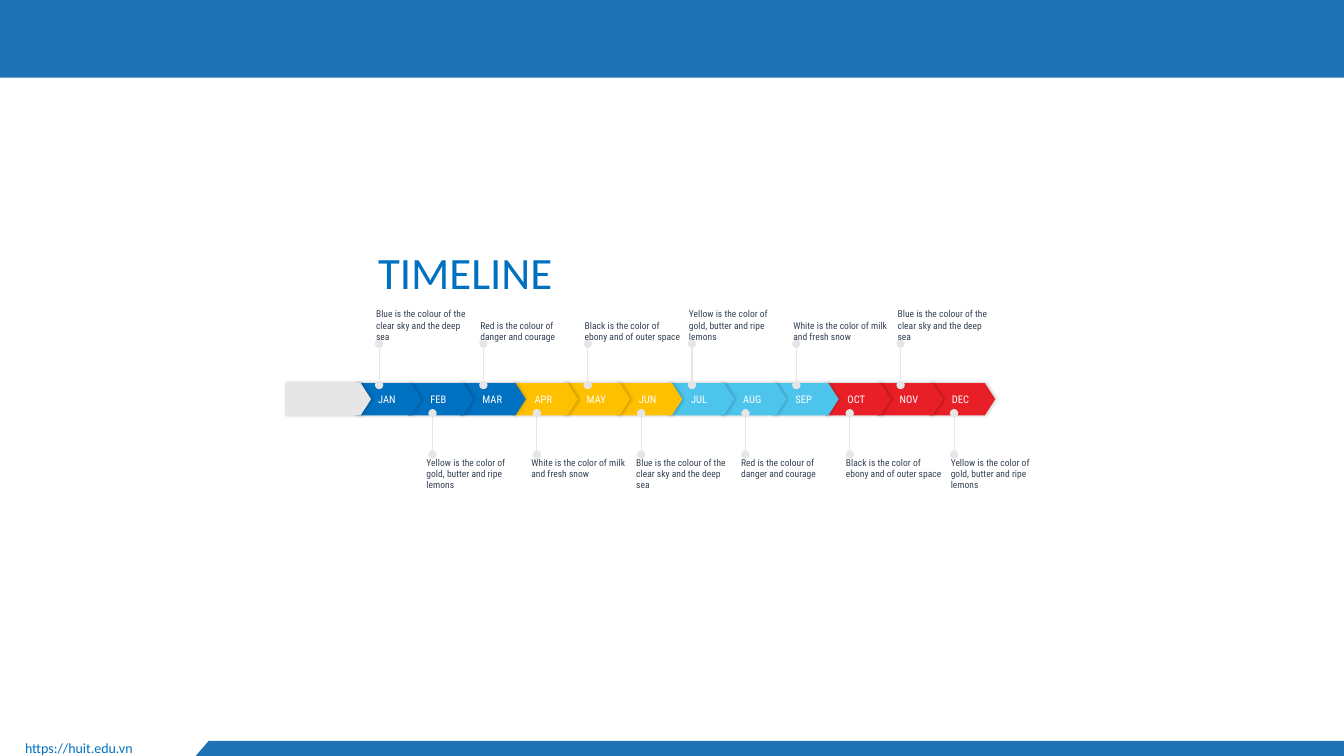
from lxml.etree import SubElement
from pptx import Presentation
from pptx.dml.color import RGBColor
from pptx.enum.shapes import MSO_CONNECTOR as CONNECTOR, MSO_SHAPE as SHAPE
from pptx.enum.text import MSO_ANCHOR as ANCHOR, MSO_AUTO_SIZE as AUTO_SIZE, PP_ALIGN as ALIGN
from pptx.oxml.ns import qn
from pptx.util import Inches, Pt

BAND, BLUE, YELLOW, SKY, RED = "2072B7", "0070C0", "FFC000", "4CC4EB", "E81F26"
GREY, SLATE, WHITE = "E7E6E6", "354253", "FFFFFF"
HEADING_FONT, LABEL_FONT = "Calibri", "Roboto Condensed"


def color(value):
    return RGBColor.from_string(value)


class TimelineSlide:
    def __init__(self, presentation):
        self.slide = presentation.slides.add_slide(presentation.slide_layouts[5])
        self.shapes = self.slide.shapes

    def set_text(self, shape, text, size, font, fill, anchor=ANCHOR.TOP, insets=None):
        frame = shape.text_frame
        frame.text = text
        frame.word_wrap = True
        frame.vertical_anchor = anchor
        if insets is not None:
            (frame.margin_left, frame.margin_top,
             frame.margin_right, frame.margin_bottom) = map(Inches, insets)
        paragraph = frame.paragraphs[0]
        paragraph.alignment = ALIGN.LEFT
        run_font = paragraph.runs[0].font
        run_font.size, run_font.name = Pt(size), font
        run_font.color.rgb = color(fill)
        return paragraph

    def paint(self, shape, fill):
        shape.fill.solid()
        shape.fill.fore_color.rgb = color(fill)
        shape.line.fill.background()
        shape.shadow.inherit = False

    def title(self, text, left, top, width, height):
        title = self.shapes.title
        title.left, title.top = Inches(left), Inches(top)
        title.width, title.height = Inches(width), Inches(height)
        title.text_frame.auto_size = AUTO_SIZE.NONE
        paragraph = self.set_text(title, text, 32, HEADING_FONT, BLUE, ANCHOR.BOTTOM, [0.07] * 4)
        paragraph.line_spacing = 0.9

    def block(self, kind, left, top, width, height, fill):
        shape = self.shapes.add_shape(
            kind, Inches(left), Inches(top), Inches(width), Inches(height))
        self.paint(shape, fill)
        return shape

    def outline(self, points, fill):
        corners = [(Inches(x), Inches(y)) for x, y in points]
        builder = self.shapes.build_freeform(*corners[0])
        builder.add_line_segments(corners[1:], close=True)
        self.paint(builder.convert_to_shape(), fill)

    def arrow(self, left, width, fill, label=""):
        shape = self.block(SHAPE.PENTAGON, left, 3.8, width, 0.32, fill)
        shape.adjustments[0] = 0.32
        effects = shape._element.spPr.find(qn("a:effectLst"))
        shadow = SubElement(effects, qn("a:outerShdw"), blurRad=str(Pt(2.2)),
                            dist=str(Pt(0.8)), dir="0", algn="l", rotWithShape="0")
        black = SubElement(shadow, qn("a:srgbClr"), val="000000")
        SubElement(black, qn("a:alpha"), val="20000")
        if label:
            self.set_text(shape, label, 7.5, LABEL_FONT, WHITE, ANCHOR.MIDDLE, (0.22, 0, 0, 0))

    def pin(self, x, start, end):
        line = self.shapes.add_connector(
            CONNECTOR.STRAIGHT, Inches(x), Inches(start), Inches(x), Inches(end))
        line.line.color.rgb = color(GREY)
        line.line.width = Pt(0.75)
        properties = line._element.spPr
        for tag in ("a:headEnd", "a:tailEnd"):
            SubElement(properties.find(qn("a:ln")), qn(tag), type="oval")
        SubElement(properties, qn("a:effectLst"))

    def text_box(self, text, left, top, width, height, size, font, fill, **layout):
        box = self.shapes.add_textbox(
            Inches(left), Inches(top), Inches(width), Inches(height))
        self.set_text(box, text, size, font, fill, **layout)

    def caption(self, text, left, top, width, anchor):
        self.text_box(text, left, top, width, 0.44, 6.8, LABEL_FONT, SLATE,
                      anchor=anchor, insets=[0] * 4)


BLUE_NOTE = "Blue is the colour of the clear sky and the deep sea"
RED_NOTE = "Red is the colour of danger and courage"
BLACK_NOTE = "Black is the color of ebony and of outer space"
YELLOW_NOTE = "Yellow is the color of gold, butter and ripe lemons"
WHITE_NOTE = "White is the color of milk and fresh snow"
UPPER_NOTES = [BLUE_NOTE, RED_NOTE, BLACK_NOTE, YELLOW_NOTE, WHITE_NOTE, BLUE_NOTE]
LOWER_NOTES = [YELLOW_NOTE, WHITE_NOTE, BLUE_NOTE, RED_NOTE, BLACK_NOTE, YELLOW_NOTE]
MONTHS = "JAN FEB MAR APR MAY JUN JUL AUG SEP OCT NOV DEC".split()
QUARTER_COLORS = [BLUE, YELLOW, SKY, RED]


def main():
    presentation = Presentation()
    presentation.slide_width, presentation.slide_height = Inches(13.33), Inches(7.5)
    timeline = TimelineSlide(presentation)

    # Header band, footer and title
    timeline.block(SHAPE.RECTANGLE, 0, -0.01, 13.33, 0.78, BAND)
    timeline.outline([(2.07, 7.35), (13.33, 7.35), (13.33, 7.5), (1.94, 7.5)], BAND)
    timeline.text_box("https://huit.edu.vn", 0.15, 7.29, 1.78, 0.28, 10, HEADING_FONT, BLUE)
    timeline.title("TIMELINE", 3.68, 2.48, 4.72, 0.56)

    # Month arrows, last one at the back, then the grey lead-in
    month_step = 5.69 / 11
    for index, month in reversed(list(enumerate(MONTHS))):
        timeline.arrow(3.53 + index * month_step, 0.65, QUARTER_COLORS[index // 3], month)
    timeline.arrow(2.83, 0.85, GREY)

    # Captions above the odd months
    pin_step = 2 * month_step
    for index, note in enumerate(UPPER_NOTES):
        timeline.pin(3.76 + index * pin_step, 3.82, 3.41)
        timeline.caption(note, 3.73 + index * pin_step, 2.96, 0.98, ANCHOR.BOTTOM)

    # Captions below the even months, the last one narrower
    for index, note in enumerate(LOWER_NOTES):
        width = 0.81 if index == len(LOWER_NOTES) - 1 else 0.98
        timeline.pin(4.29 + index * pin_step, 4.51, 4.1)
        timeline.caption(note, 4.23 + index * 1.04, 4.53, width, ANCHOR.TOP)

    presentation.save("out.pptx")


if __name__ == "__main__":
    main()
